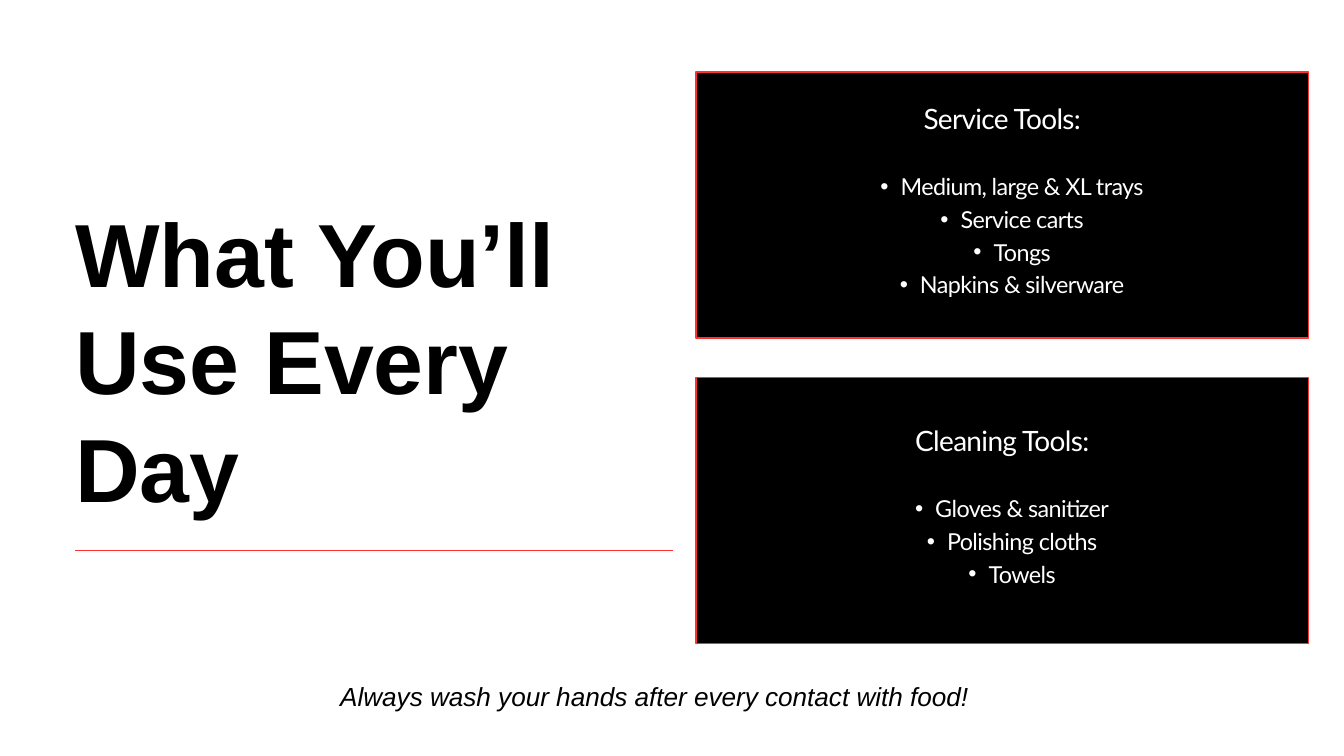
from dataclasses import dataclass

from lxml.etree import SubElement
from pptx import Presentation
from pptx.dml.color import RGBColor
from pptx.enum.shapes import MSO_CONNECTOR, MSO_SHAPE
from pptx.enum.text import MSO_ANCHOR, MSO_AUTO_SIZE, PP_ALIGN
from pptx.oxml.ns import qn
from pptx.util import Inches, Pt


@dataclass(frozen=True)
class Theme:
    ink: RGBColor = RGBColor(0, 0, 0)
    paper: RGBColor = RGBColor(255, 255, 255)
    accent: RGBColor = RGBColor(0xFF, 0x31, 0x31)
    display_font: str = "Arial"
    list_font: str = "Lato"
    title_size: float = 96
    heading_size: float = 30
    item_size: float = 25
    note_size: float = 28
    rule_width: float = 1.5


THEME = Theme()
TITLE = "What You’ll Use Every Day"
NOTE = "Always wash your hands after every contact with food!"
CARDS = [
    ("Service Tools:",
     ["Medium, large & XL trays", "Service carts", "Tongs", "Napkins & silverware"]),
    ("Cleaning Tools:",
     ["Gloves & sanitizer", "Polishing cloths", "Towels"]),
]
CARD_LEFT, CARD_TOP, CARD_WIDTH, CARD_HEIGHT = 10.36, 1.07, 9.11, 3.96
CARD_PITCH = 4.55
TEXT_RISE = 0.23


def set_all(target, values):
    for name, value in values.items():
        setattr(target, name, value)


def place(shape, box):
    set_all(shape, dict(zip(("left", "top", "width", "height"), map(Inches, box))))


def prepare_frame(frame, anchor, margin=0.0):
    set_all(frame, {
        "word_wrap": True, "auto_size": MSO_AUTO_SIZE.NONE, "vertical_anchor": anchor,
        **{f"margin_{side}": Inches(margin) for side in ("left", "top", "right", "bottom")},
    })


def write(para, text, font, color, spacing, align=PP_ALIGN.CENTER, after=0, tracking=None):
    """Fill a paragraph; spacing and after are points, tracking hundredths of a point."""
    set_all(para, {"alignment": align, "line_spacing": Pt(spacing),
                   "space_before": Pt(0), "space_after": Pt(after)})
    span = para.add_run()
    span.text = text
    set_all(span.font, font)
    span.font.color.rgb = color
    if tracking is not None:
        span.font._element.set("spc", str(tracking))


def set_bullet(para, char=None, margin=0.0, indent=0.0):
    properties = para._p.get_or_add_pPr()
    properties.set("marL", str(Inches(margin)))
    properties.set("indent", str(Inches(indent)))
    if char:
        SubElement(properties, qn("a:buFont")).set("typeface", "Arial")
        SubElement(properties, qn("a:buChar")).set("char", char)
    else:
        SubElement(properties, qn("a:buNone"))


def add_title(page, box):
    title = page.shapes.title
    place(title, box)
    prepare_frame(title.text_frame, MSO_ANCHOR.TOP)
    font = {"name": THEME.display_font, "size": Pt(THEME.title_size), "bold": True}
    write(title.text_frame.paragraphs[0], TITLE, font, THEME.ink, 115.2, PP_ALIGN.LEFT)


def add_rule(page, left, right, top):
    rule = page.shapes.add_connector(
        MSO_CONNECTOR.STRAIGHT, Inches(left), Inches(top), Inches(right), Inches(top))
    rule.line.color.rgb = THEME.accent
    rule.line.width = Pt(THEME.rule_width)
    SubElement(rule._element.spPr, qn("a:effectLst"))


def add_card(page, holder, box, heading, items):
    """Draw a panel behind the body placeholder and write its heading and list."""
    left, top, width, height = box
    panel = page.shapes.add_shape(MSO_SHAPE.RECTANGLE, *map(Inches, box))
    panel.shadow.inherit = False
    panel.fill.solid()
    panel.fill.fore_color.rgb = THEME.ink
    panel.line.color.rgb = THEME.accent
    panel.line.width = Pt(THEME.rule_width)
    holder._element.addprevious(panel._element)

    place(holder, (left, top - TEXT_RISE, width, height + TEXT_RISE))
    frame = holder.text_frame
    prepare_frame(frame, MSO_ANCHOR.MIDDLE, 0.28)
    para = frame.paragraphs[0]
    font = {"name": THEME.list_font, "size": Pt(THEME.heading_size)}
    write(para, heading, font, THEME.paper, 42, after=35, tracking=-70)
    set_bullet(para)
    font = {"name": THEME.list_font, "size": Pt(THEME.item_size)}
    for item in items:
        para = frame.add_paragraph()
        para.level = 1
        write(para, item, font, THEME.paper, 35, tracking=-60)
        set_bullet(para, "•", 0.59, -0.3)


def add_note(page, box):
    note = page.shapes.add_textbox(*map(Inches, box))
    prepare_frame(note.text_frame, MSO_ANCHOR.TOP)
    font = {"name": THEME.display_font, "size": Pt(THEME.note_size), "italic": True}
    write(note.text_frame.paragraphs[0], NOTE, font, THEME.ink, 39.2)


def main():
    deck = Presentation()
    deck.slide_width, deck.slide_height = Inches(20), Inches(11.25)
    page = deck.slides.add_slide(deck.slide_layouts.get_by_name("Two Content"))
    page.background.fill.solid()
    page.background.fill.fore_color.rgb = THEME.paper

    add_rule(page, 1.12, 10.01, 8.19)
    add_title(page, (1.12, 2.94, 9.23, 4.9))
    for index, (heading, items) in enumerate(CARDS):
        box = (CARD_LEFT, CARD_TOP + index * CARD_PITCH, CARD_WIDTH, CARD_HEIGHT)
        add_card(page, page.placeholders[index + 1], box, heading, items)
    add_note(page, (3.36, 10.04, 12.75, 0.55))
    deck.save("out.pptx")


if __name__ == "__main__":
    main()
